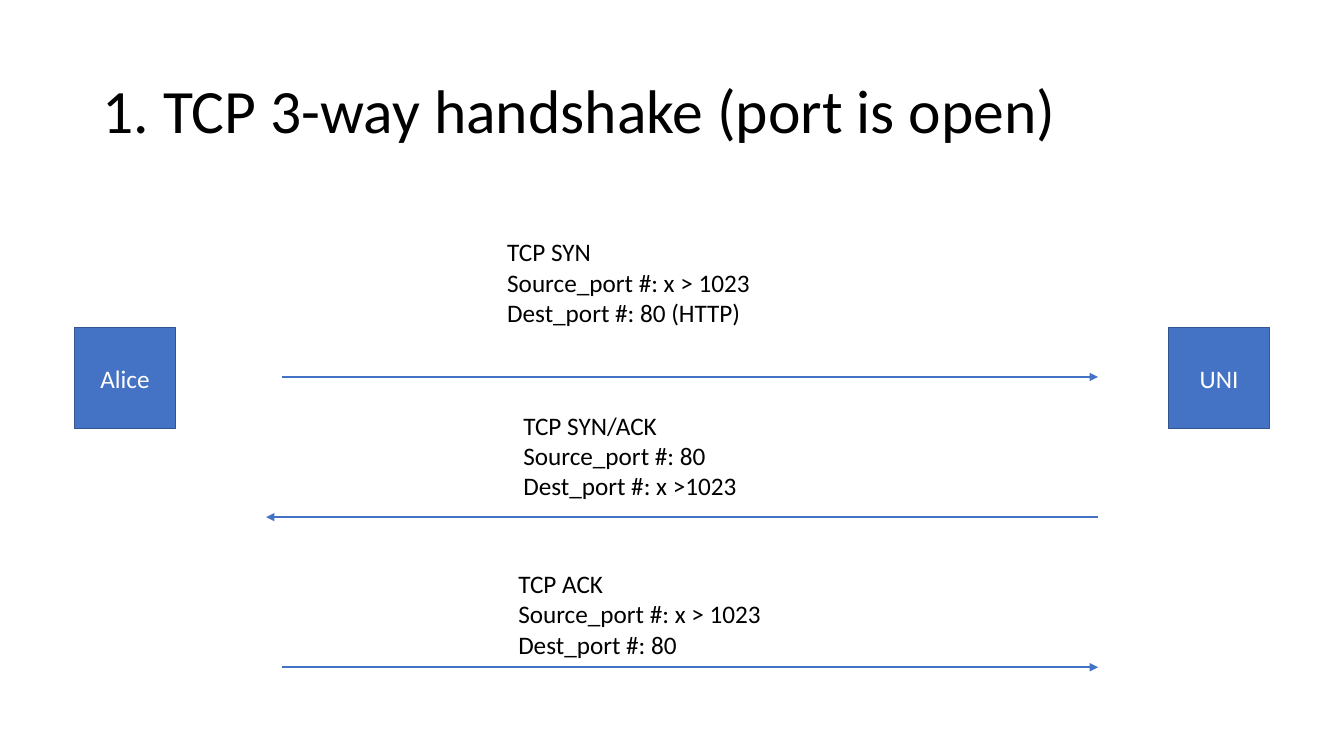
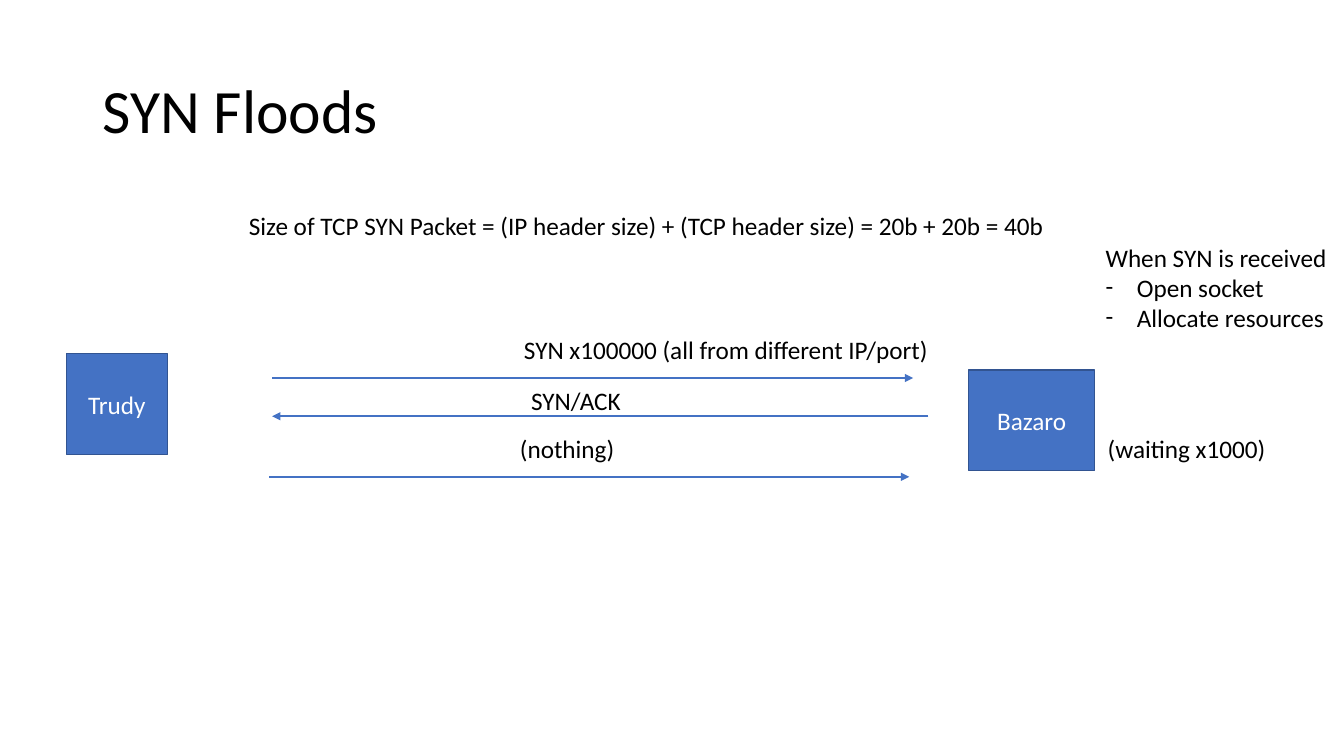
import pptx
import pptx.dml.color
import pptx.enum.shapes
import pptx.enum.text
import pptx.oxml.ns
import pptx.util
from lxml import etree

WIDTH, HEIGHT = 13.33, 7.5
COLUMNS, ROWS = 40, 30
FONT = "Calibri"
COLORS = {"text": "000000", "host": "4472C4", "border": "325491", "host_text": "FFFFFF"}


def color(name):
    return pptx.dml.color.RGBColor.from_string(COLORS[name])


def add_xml(parent, tag, **attributes):
    return etree.SubElement(parent, pptx.oxml.ns.qn(tag), attributes)


class Deck:
    """Shared style and the current page; lengths are grid columns and rows."""

    def __init__(self):
        self.deck = pptx.Presentation()
        self.deck.slide_width = pptx.util.Inches(WIDTH)
        self.deck.slide_height = pptx.util.Inches(HEIGHT)
        self.page = None

    def across(self, columns):
        return pptx.util.Inches(columns * WIDTH / COLUMNS)

    def down(self, rows):
        return pptx.util.Inches(rows * HEIGHT / ROWS)

    def place(self, left, top, width, height):
        return self.across(left), self.down(top), self.across(width), self.down(height)

    def format_text(self, frame, size=18, ink="text", align="LEFT"):
        for para in frame.paragraphs:
            para.alignment = getattr(pptx.enum.text.PP_ALIGN, align)
            for span in para.runs:
                span.font.name = FONT
                span.font.size = pptx.util.Pt(size)
                span.font.color.rgb = color(ink)

    def add_page(self, title):
        self.page = self.deck.slides.add_slide(self.deck.slide_layouts[5])
        box = self.page.shapes.title
        box.left, box.top, box.width, box.height = self.place(2.75, 1.6, 34.5, 5.8)
        frame = box.text_frame
        frame.text = title
        frame.auto_size = pptx.enum.text.MSO_AUTO_SIZE.NONE
        frame.vertical_anchor = pptx.enum.text.MSO_ANCHOR.MIDDLE
        frame.paragraphs[0].line_spacing = 0.9
        self.format_text(frame, size=44)

    def add_host(self, name, left, top, width=3):
        box = self.page.shapes.add_shape(
            pptx.enum.shapes.MSO_SHAPE.RECTANGLE, *self.place(left, top, width, 4))
        box.shadow.inherit = False
        box.fill.solid()
        box.fill.fore_color.rgb = color("host")
        box.line.color.rgb = color("border")
        box.line.width = pptx.util.Pt(1)
        box.text_frame.text = name
        box.text_frame.vertical_anchor = pptx.enum.text.MSO_ANCHOR.MIDDLE
        self.format_text(box.text_frame, ink="host_text", align="CENTER")

    def add_arrow(self, start, end, row):
        arrow = self.page.shapes.add_connector(
            pptx.enum.shapes.MSO_CONNECTOR.STRAIGHT,
            self.across(start), self.down(row), self.across(end), self.down(row))
        arrow.line.color.rgb = color("host")
        arrow.line.width = pptx.util.Pt(1.5)
        add_xml(arrow.line._get_or_add_ln(), "a:tailEnd", type="triangle")
        add_xml(arrow._element.spPr, "a:effectLst")

    def add_note(self, lines, left, top, width, bullets=()):
        lines = [*lines, *bullets]
        box = self.page.shapes.add_textbox(
            *self.place(left, top, width, 0.4 + 1.2 * len(lines)))
        frame = box.text_frame
        frame.text = "\n".join(lines)
        frame.word_wrap = False
        frame.auto_size = pptx.enum.text.MSO_AUTO_SIZE.SHAPE_TO_FIT_TEXT
        self.format_text(frame)
        for para in frame.paragraphs[len(lines) - len(bullets):]:
            properties = para._p.get_or_add_pPr()
            indent = pptx.util.Inches(0.31)
            properties.set("marL", str(indent))
            properties.set("indent", str(-indent))
            add_xml(properties, "a:buFont", typeface=FONT)
            add_xml(properties, "a:buChar", char="-")


def build_handshake(deck):
    deck.add_page("1. TCP 3-way handshake (port is open)")

    # Hosts
    for name, left in (("Alice", 2.22), ("UNI", 34.78)):
        deck.add_host(name, left, 13)

    # Messages
    near, far = 8.38, 32.68
    for start, end, row in ((near, far, 14.96), (far, 7.92, 20.52), (near, far, 26.48)):
        deck.add_arrow(start, end, row)
    for kind, source, target, left, top, width in (
            ("TCP SYN", "x > 1023", "80 (HTTP)", 14.8, 9.2, 7.92),
            ("TCP SYN/ACK", "80", "x >1023", 15.28, 16.08, 7.02),
            ("TCP ACK", "x > 1023", "80", 15.13, 22.36, 7.92)):
        lines = [kind, f"Source_port #: {source}", f"Dest_port #: {target}"]
        deck.add_note(lines, left, top, width)


def build_floods(deck):
    deck.add_page("SYN Floods")

    # Hosts
    deck.add_host("Trudy", 1.98, 14.04)
    deck.add_host("Bazaro", 28.83, 14.68, width=3.75)

    # Messages
    for start, end, row in ((8.1, 27.18, 15), (27.63, 8.1, 16.52), (8.01, 27.06, 18.92)):
        deck.add_arrow(start, end, row)
    for text, left, top, width in (
            ("SYN x100000 (all from different IP/port)", 15.3, 13.08, 12.78),
            ("SYN/ACK", 15.51, 15.08, 3.3),
            ("(nothing)", 15.18, 17, 3.45),
            ("(waiting x1000)", 32.67, 17, 5.37),
            ("Size of TCP SYN Packet = (IP header size) + (TCP header size) = 20b + 20b = 40b",
             7.11, 8.16, 24.57)):
        deck.add_note([text], left, top, width)

    # Server reaction
    deck.add_note(["When SYN is received"], 32.61, 9.4, 7.26,
                  bullets=["Open socket", "Allocate resources"])


def main():
    deck = Deck()
    build_handshake(deck)
    build_floods(deck)
    deck.deck.save("out.pptx")


if __name__ == "__main__":
    main()
